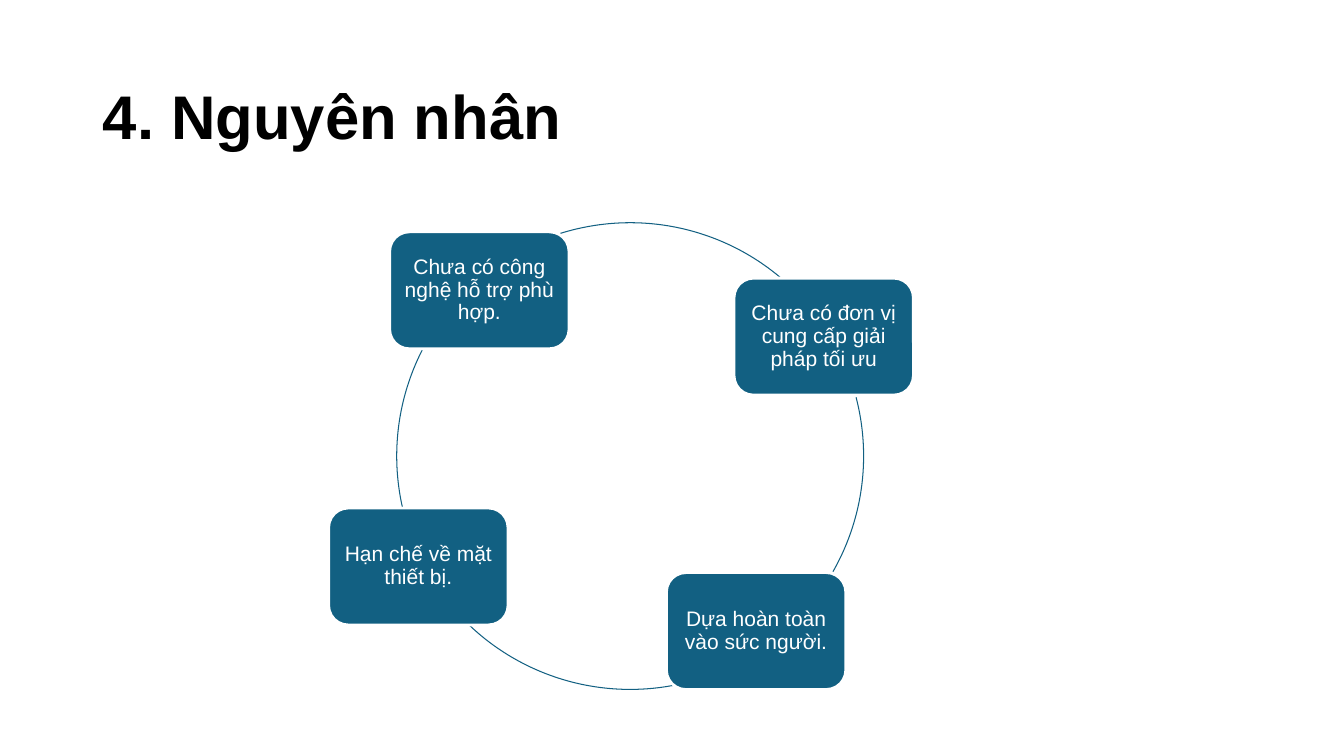
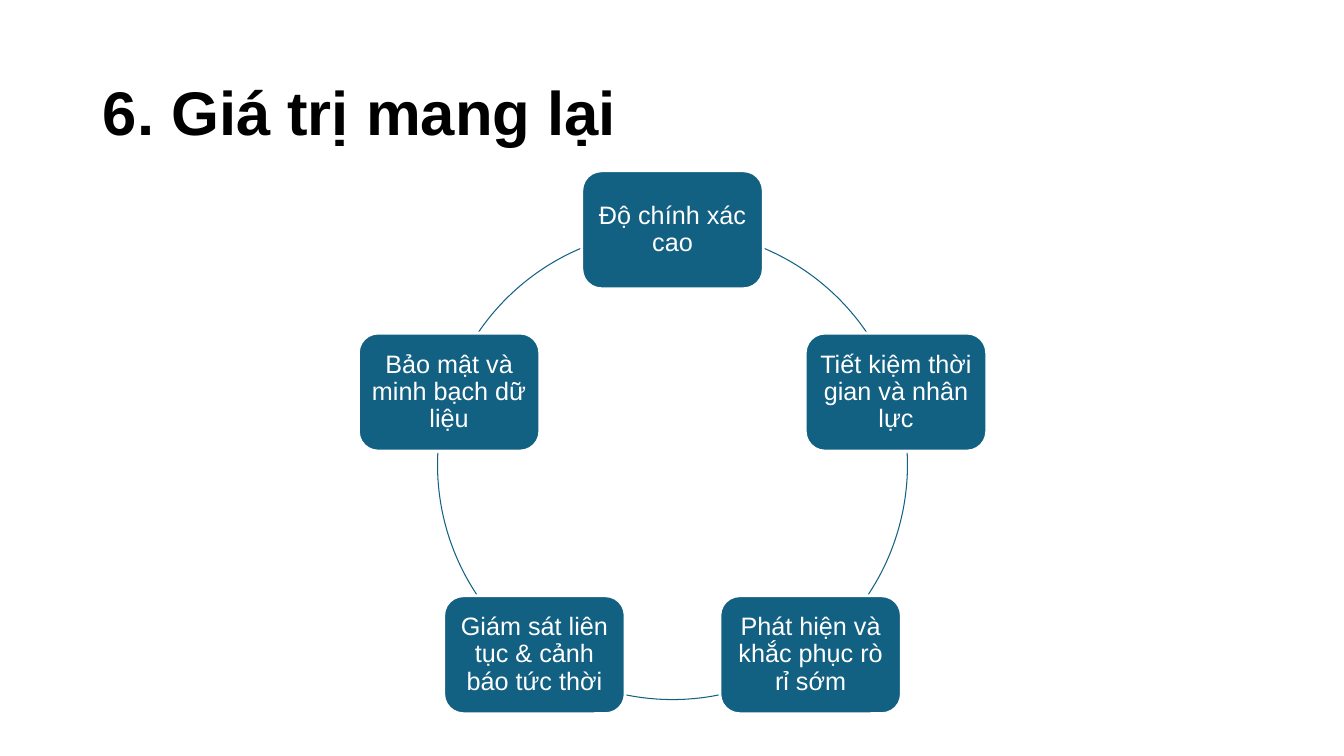
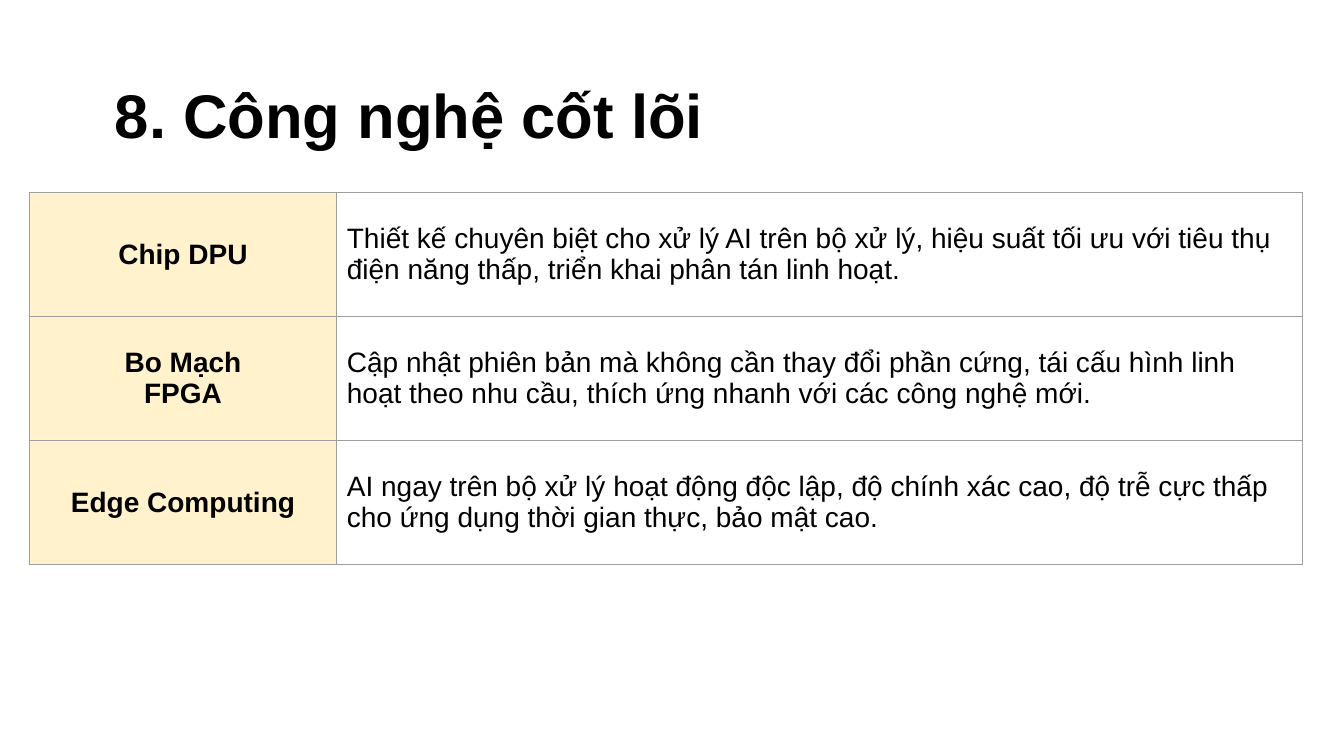
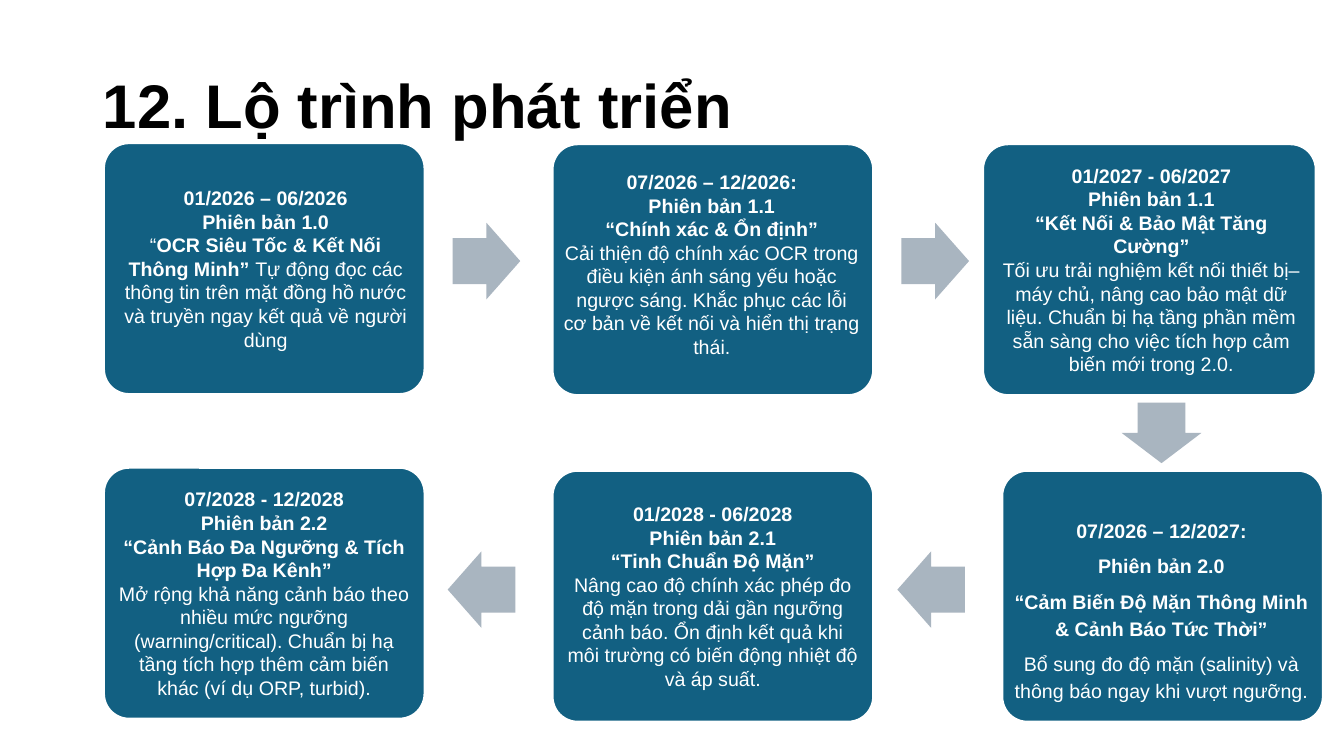
from math import cos, radians, sin

from lxml.etree import SubElement
from pptx import Presentation
from pptx.dml.color import RGBColor
from pptx.enum.shapes import MSO_SHAPE
from pptx.enum.text import MSO_ANCHOR, MSO_AUTO_SIZE, PP_ALIGN
from pptx.oxml import parse_xml
from pptx.oxml.ns import nsdecls, qn
from pptx.util import Inches, Pt

W, H = 13.33, 7.5
FONT = "Arial"
BLUE = RGBColor(0x12, 0x60, 0x82)
GREY = RGBColor(0xA9, 0xB5, 0xC0)
CREAM = RGBColor(0xFF, 0xF2, 0xCC)
BORDER = RGBColor(0x9E, 0x9E, 0x9E)
WHITE = RGBColor(0xFF, 0xFF, 0xFF)
BLACK = RGBColor(0, 0, 0)

CAUSES = [
    (56.26, 83.47, "Dựa hoàn toàn vào sức người."),
    (31.13, 74.93, "Hạn chế về mặt thiết bị."),
    (35.67, 38.4, "Chưa có công nghệ hỗ trợ phù hợp."),
    (61.29, 44.53, "Chưa có đơn vị cung cấp giải pháp tối ưu"),
]
CAUSE_ARCS = [(252.6, 310), (345.4, 29.7), (78.4, 133.3), (167.4, 207)]

VALUES = [
    "Độ chính xác cao",
    "Tiết kiệm thời gian và nhân lực",
    "Phát hiện và khắc phục rò rỉ sớm",
    "Giám sát liên tục & cảnh báo tức thời",
    "Bảo mật và minh bạch dữ liệu",
]
VALUE_ARCS = [(293, 325.6), (357.1, 33.6), (78.5, 101.5), (146.4, 182.9), (214.4, 247)]

TECHNOLOGIES = [
    ("Chip DPU",
     "Thiết kế chuyên biệt cho xử lý AI trên bộ xử lý, hiệu suất tối ưu với tiêu thụ "
     "điện năng thấp, triển khai phân tán linh hoạt."),
    ("Bo Mạch\nFPGA",
     "Cập nhật phiên bản mà không cần thay đổi phần cứng, tái cấu hình linh hoạt theo "
     "nhu cầu, thích ứng nhanh với các công nghệ mới."),
    ("Edge Computing",
     "AI ngay trên bộ xử lý hoạt động độc lập, độ chính xác cao, độ trễ cực thấp cho "
     "ứng dụng thời gian thực, bảo mật cao."),
]

CARD_W, CARD_H = 23.86, 33.2
CARDS = [
    ((7.73, 18.93, CARD_W, CARD_H), (0.06, 0.06, 0.03, 0.06), [[
        ("01/2026 – 06/2026\nPhiên bản 1.0\n", True), ("“", False),
        ("OCR Siêu Tốc & Kết Nối Thông Minh” ", True),
        ("Tự động đọc các thông tin trên mặt đồng hồ nước và truyền ngay kết quả về "
         "người dùng", False)]]),
    ((41.11, 19.07, CARD_W, CARD_H), (0.03, 0.06, 0.05, 0.17), [[
        ("07/2026 – 12/2026:\nPhiên bản 1.1\n“Chính xác & Ổn định”\n", True),
        ("Cải thiện độ chính xác OCR trong điều kiện ánh sáng yếu hoặc ngược sáng. Khắc "
         "phục các lỗi cơ bản về kết nối và hiển thị trạng thái.", False)]]),
    ((73.14, 19.07, 24.76, CARD_H), (0.12, 0.06, 0.08, 0.06), [[
        ("01/2027 - 06/2027\nPhiên bản 1.1\n“Kết Nối & Bảo Mật Tăng Cường”\n", True),
        ("Tối ưu trải nghiệm kết nối thiết bị–máy chủ, nâng cao bảo mật dữ liệu. Chuẩn bị "
         "hạ tầng phần mềm sẵn sàng cho việc tích hợp cảm biến mới trong 2.0.", False)]]),
    ((74.57, 62.27, CARD_W, CARD_H), (0.03, 0.31, 0.05, 0.06), [
        [("07/2026 – 12/2027:", True)],
        [("Phiên bản 2.0", True)],
        [("“Cảm Biến Độ Mặn Thông Minh & Cảnh Báo Tức Thời”", True)],
        [("Bổ sung đo độ mặn (salinity) và thông báo ngay khi vượt ngưỡng.", False)]]),
    ((41.11, 62.27, CARD_W, CARD_H), (0.06, 0.06, 0.06, 0.06), [[
        ("01/2028 - 06/2028\nPhiên bản 2.1\n“Tinh Chuẩn Độ Mặn”\n", True),
        ("Nâng cao độ chính xác phép đo độ mặn trong dải gần ngưỡng cảnh báo. Ổn định kết "
         "quả khi môi trường có biến động nhiệt độ và áp suất.", False)]]),
    ((7.73, 61.87, CARD_W, CARD_H), (0.05, 0.06, 0.05, 0.06), [[
        ("07/2028 - 12/2028\nPhiên bản 2.2\n“Cảnh Báo Đa Ngưỡng & Tích Hợp Đa Kênh”\n", True),
        ("Mở rộng khả năng cảnh báo theo nhiều mức ngưỡng (warning/critical). Chuẩn bị hạ "
         "tầng tích hợp thêm cảm biến khác (ví dụ ORP, turbid).", False)]]),
]
ARROWS = [
    (MSO_SHAPE.RIGHT_ARROW, (33.68, 29.47, 5.03, 10.13)),
    (MSO_SHAPE.RIGHT_ARROW, (67.07, 29.47, 5.03, 10.13)),
    (MSO_SHAPE.DOWN_ARROW, (83.46, 53.27, 5.93, 8)),
    (MSO_SHAPE.LEFT_ARROW, (66.77, 72.93, 5.03, 10.13)),
    (MSO_SHAPE.LEFT_ARROW, (33.31, 72.93, 5.03, 10.13)),
]


def across(share):
    """Turn a percentage of the slide width into a length."""
    return Inches(W * share / 100)


def down(share):
    """Turn a percentage of the slide height into a length."""
    return Inches(H * share / 100)


def area(left, top, width, height):
    """Turn four percentages into a position and a size."""
    return across(left), down(top), across(width), down(height)


def add_run(p, text, size, color, bold=False):
    """Add text to a paragraph, with a line break at each newline."""
    for i, line in enumerate(text.split("\n")):
        if i:
            p.add_line_break()
        if line:
            r = p.add_run()
            r.text = line
            r.font.name, r.font.size, r.font.bold = FONT, Pt(size), bold
            r.font.color.rgb = color


def add_titled_slide(prs, text, top, left=6.9):
    """Add a slide with its formatted title placeholder."""
    s = prs.slides.add_slide(prs.slide_layouts[5])
    title = s.shapes.title
    title.left, title.top, title.width, title.height = area(left, top, 86.27, 14.53)
    tf = title.text_frame
    tf.word_wrap, tf.auto_size = True, MSO_AUTO_SIZE.NONE
    tf.vertical_anchor = MSO_ANCHOR.MIDDLE
    p = tf.paragraphs[0]
    p.alignment, p.line_spacing = PP_ALIGN.LEFT, 0.9
    add_run(p, text, 44, BLACK, True)
    return s


def add_filled(s, kind, box, color, adjustments):
    """Add a flat preset shape without an outline."""
    sp = s.shapes.add_shape(kind, *box)
    sp.shadow.inherit = False
    sp.fill.solid()
    sp.fill.fore_color.rgb = color
    sp.line.fill.background()
    for i, value in enumerate(adjustments):
        sp.adjustments[i] = value
    return sp


def add_round_box(s, box, paragraphs, size, corner, outline, insets, spacing):
    """Add a blue rounded box with centred white text."""
    sp = add_filled(s, MSO_SHAPE.ROUNDED_RECTANGLE, box, BLUE, [corner])
    sp.line.color.rgb, sp.line.width = WHITE, Pt(outline)
    tf = sp.text_frame
    tf.word_wrap, tf.vertical_anchor = True, MSO_ANCHOR.MIDDLE
    tf.margin_left, tf.margin_top, tf.margin_right, tf.margin_bottom = map(Inches, insets)
    for i, runs in enumerate(paragraphs):
        p = tf.add_paragraph() if i else tf.paragraphs[0]
        p.alignment, p.line_spacing = PP_ALIGN.CENTER, spacing
        if i:
            p.space_before = Pt(6)
        for text, bold in runs:
            add_run(p, text, size, WHITE, bold)


def add_cycle(s, center, radius, arcs, nodes, node_size, size, inset):
    """Draw the arcs of a ring and the boxes placed on it."""
    x, y, r = across(center[0]), down(center[1]), down(radius)
    for start, end in arcs:
        arc = s.shapes.add_shape(MSO_SHAPE.ARC, x - r, y - r, 2 * r, 2 * r)
        arc.shadow.inherit = False
        arc.fill.background()
        arc.line.color.rgb, arc.line.width = BLUE, Pt(0.75)
        arc.adjustments[0], arc.adjustments[1] = start * 0.6, end * 0.6
    w, h = node_size
    for cx, cy, text in nodes:
        add_round_box(s, area(cx - w / 2, cy - h / 2, w, h), [[(text, False)]],
                      size, 0.167, 2, [inset] * 4, 0.9)


def ring_nodes(center, radius, texts):
    """Space texts evenly round a ring, clockwise from the top."""
    for i, text in enumerate(texts):
        angle = radians(360 * i / len(texts) - 90)
        yield (center[0] + radius * H / W * cos(angle),
               center[1] + radius * sin(angle), text)


def set_borders(cell):
    """Give a table cell a thin grey line on each side."""
    tcPr = cell._tc.get_or_add_tcPr()
    for i, side in enumerate(("lnL", "lnR", "lnT", "lnB")):
        ln = parse_xml(f'<a:{side} {nsdecls("a")} w="{Pt(0.75)}"/>')
        fill = SubElement(ln, qn("a:solidFill"))
        SubElement(fill, qn("a:srgbClr")).set("val", str(BORDER))
        tcPr.insert(i, ln)


def add_technology_table(s, rows):
    """Add a table of names and descriptions."""
    widths, row_height = (22.88, 71.87), 16.4
    table = s.shapes.add_table(len(rows), len(widths), *area(
        2.18, 25.47, sum(widths), row_height * len(rows))).table
    table.first_row = table.horz_banding = False
    for column, width in zip(table.columns, widths):
        column.width = across(width)
    for i, texts in enumerate(rows):
        table.rows[i].height = down(row_height)
        for j, text in enumerate(texts):
            cell, is_name = table.cell(i, j), j == 0
            cell.vertical_anchor = MSO_ANCHOR.MIDDLE
            cell.margin_left = cell.margin_right = Inches(0.1)
            cell.margin_top = cell.margin_bottom = Inches(0.1)
            if is_name:
                cell.fill.solid()
                cell.fill.fore_color.rgb = CREAM
            else:
                cell.fill.background()
            set_borders(cell)
            p = cell.text_frame.paragraphs[0]
            p.alignment = PP_ALIGN.CENTER if is_name else PP_ALIGN.LEFT
            add_run(p, text, 20, BLACK, is_name)


def main():
    """Build the four slides and save them."""
    prs = Presentation()
    prs.slide_width, prs.slide_height = Inches(W), Inches(H)

    s = add_titled_slide(prs, "4. Nguyên nhân", 8.53)
    add_cycle(s, (46.89, 60.33), 30.87, CAUSE_ARCS, CAUSES, (13.35, 15.47), 15, 0.06)

    s = add_titled_slide(prs, "6. Giá trị mang lại", 8)
    center, radius = (50.04, 61.47), 31.07
    add_cycle(s, center, radius, VALUE_ARCS, ring_nodes(center, radius, VALUES),
              (13.5, 15.6), 18, 0.07)

    s = add_titled_slide(prs, "8. Công nghệ cốt lõi", 8.4, 7.8)
    add_technology_table(s, TECHNOLOGIES)

    s = add_titled_slide(prs, "12. Lộ trình phát triển", 7.07)
    for box, insets, paragraphs in CARDS:
        spacing = 1.15 if len(paragraphs) > 1 else 1.0
        add_round_box(s, area(*box), paragraphs, 14, 0.1, 1.5, insets, spacing)
    for kind, box in ARROWS:
        add_filled(s, kind, area(*box), GREY, (0.6, 0.5))

    prs.save("out.pptx")


if __name__ == "__main__":
    main()
